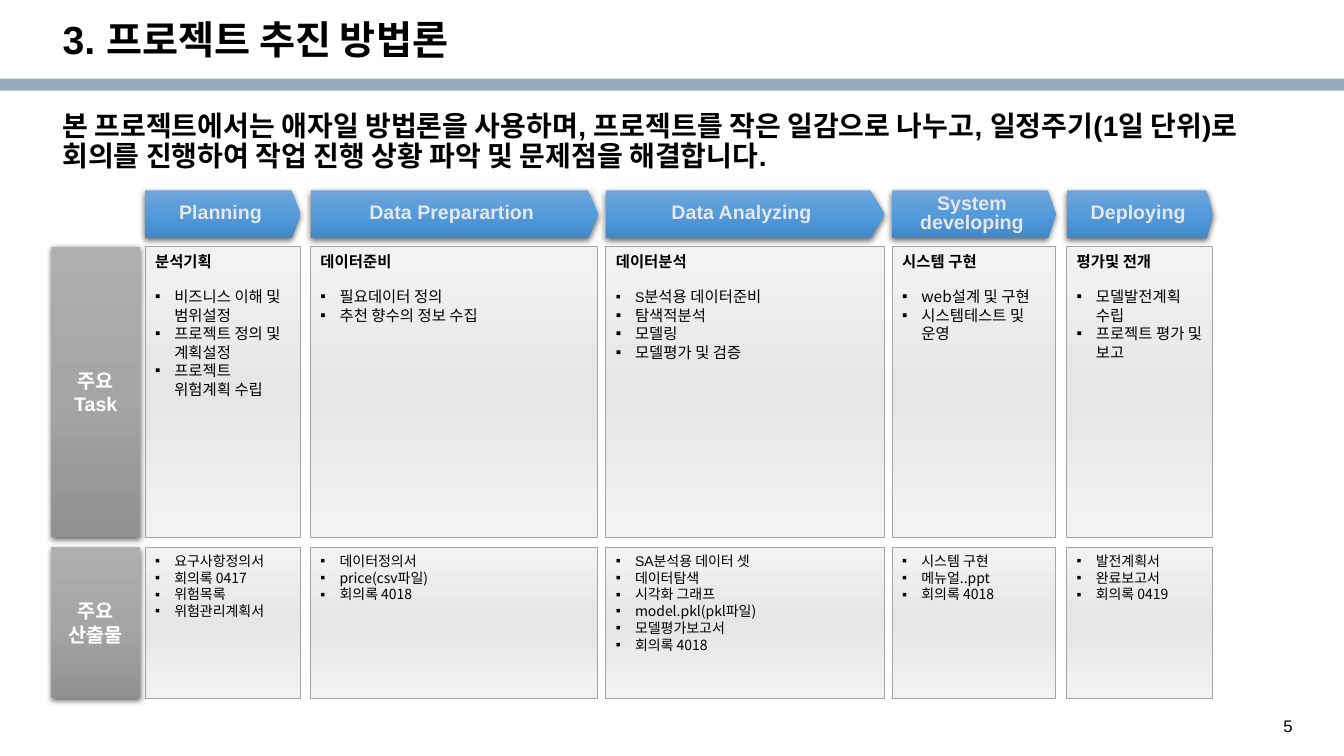
"""Builds the project methodology slide: five phases with their tasks and deliverables."""
import pptx
import pptx.dml.color
import pptx.enum.shapes
import pptx.enum.text
import pptx.oxml
import pptx.oxml.ns
import pptx.util
from pptx.util import Inches, Pt

TITLE = "3. 프로젝트 추진 방법론"
SUMMARY = (
    "본 프로젝트에서는 애자일 방법론을 사용하며, 프로젝트를 작은 일감으로 나누고, "
    "일정주기(1일 단위)로 회의를 진행하여 작업 진행 상황 파악 및 문제점을 해결합니다."
)
PAGE_NUMBER = "5"
PHASES = [
    {"name": "Planning", "heading": "분석기획", "left": 1.44, "width": 1.54, "point": 0.19,
     "tasks": ["비즈니스 이해 및 범위설정", "프로젝트 정의 및 계획설정", "프로젝트 위험계획 수립"],
     "outputs": ["요구사항정의서", "회의록 0417", "위험목록", "위험관리계획서"]},
    {"name": "Data Preparartion", "heading": "데이터준비", "left": 3.08, "width": 2.85, "point": 0.207,
     "tasks": ["필요데이터 정의", "추천 향수의 정보 수집"],
     "outputs": ["데이터정의서", "price(csv파일)", "회의록 4018"]},
    {"name": "Data Analyzing", "heading": "데이터분석", "left": 6.01, "width": 2.76, "point": 0.29,
     "tasks": [("S", "분석용 데이터준비"), "탐색적분석", "모델링", "모델평가 및 검증"],
     "outputs": [("SA", "분석용 데이터 셋"), "데이터탐색", "시각화 그래프", "model.pkl(pkl파일)",
                 "모델평가보고서", "회의록 4018"]},
    {"name": "System developing", "heading": "시스템 구현", "left": 8.85, "width": 1.62, "point": 0.166,
     "tasks": ["web설계 및 구현", "시스템테스트 및 운영"],
     "outputs": ["시스템 구현", "메뉴얼..ppt", "회의록 4018"]},
    {"name": "Deploying", "heading": "평가및 전개", "left": 10.58, "width": 1.45, "point": 0.137,
     "tasks": ["모델발전계획 수립", "프로젝트 평가 및 보고"],
     "outputs": ["발전계획서", "완료보고서", "회의록 0419"]},
]
TASK_ROW = (2.45, 2.88)
OUTPUT_ROW = (5.43, 1.5)
ROW_LABELS = [(["주요 Task"], TASK_ROW), (["주요", "산출물"], OUTPUT_ROW)]
ARROW_TOP, ARROW_HEIGHT = 1.89, 0.47
LATIN, KOREAN = "Arial", "Noto Sans CJK KR"
BLUE = ("70A5DA", "539BDB", "4288C8")
GREY = ("AFAFAF", "A5A5A5", "919191")
PALE = ("F2F2F2", "E6E6E6", "F2F2F2")
SHAPES = pptx.enum.shapes.MSO_SHAPE
ALIGN = pptx.enum.text.PP_ALIGN
ANCHOR = pptx.enum.text.MSO_ANCHOR
NS = pptx.oxml.ns.nsdecls("a")


def rgb(value):
    return pptx.dml.color.RGBColor.from_string(value)


def set_font(font, size, name=LATIN, color="000000", bold=False):
    font.size, font.name, font.bold = Pt(size), name, bold
    font.color.rgb = rgb(color)


def write(paragraph, text, size, name=LATIN, color="000000", bold=False, align=ALIGN.LEFT, spacing=None):
    paragraph.text = text
    paragraph.alignment = align
    paragraph.line_spacing = spacing
    set_font(paragraph.font, size, name, color, bold)


def paragraphs(frame, count):
    return [frame.paragraphs[0]] + [frame.add_paragraph() for _ in range(count - 1)]


def add_box(slide, kind, box, colors, raised=False):
    shape = slide.shapes.add_shape(kind, *map(Inches, box))
    shape.shadow.inherit = False
    shape.line.fill.background()
    shape.fill.gradient()
    shape.fill.gradient_angle = 270
    stops = shape.element.spPr.find(".//" + pptx.oxml.ns.qn("a:gsLst"))
    for stop in list(stops):
        stops.remove(stop)
    for index, color in enumerate(colors):
        stops.append(pptx.oxml.parse_xml(
            f'<a:gs {NS} pos="{index * 50000}"><a:srgbClr val="{color}"/></a:gs>'))
    if raised:
        effects = shape.element.spPr.find(pptx.oxml.ns.qn("a:effectLst"))
        effects.append(pptx.oxml.parse_xml(
            f'<a:outerShdw {NS} blurRad="{Pt(4.5)}" dist="{Pt(1.5)}" dir="5400000" algn="ctr" rotWithShape="0">'
            '<a:srgbClr val="000000"><a:alpha val="62000"/></a:srgbClr></a:outerShdw>'))
    shape.text_frame.word_wrap = True
    return shape


def write_bullet(paragraph, item, size):
    if isinstance(item, tuple):
        paragraph.alignment = ALIGN.LEFT
        for text, run_size, name in zip(item, (10, size), (LATIN, KOREAN)):
            run = paragraph.add_run()
            run.text = text
            set_font(run.font, run_size, name)
    else:
        write(paragraph, item, size, KOREAN)
    properties = paragraph._p.get_or_add_pPr()
    properties.set("marL", str(Inches(0.19)))
    properties.set("indent", str(-Inches(0.19)))
    bullet = (f'<a:buClr {NS}><a:srgbClr val="000000"/></a:buClr>',
              f'<a:buFont {NS} typeface="{LATIN}"/>', f'<a:buChar {NS} char="▪"/>')
    defaults = properties.find(pptx.oxml.ns.qn("a:defRPr"))
    for part in map(pptx.oxml.parse_xml, bullet):
        if defaults is None:
            properties.append(part)
        else:
            defaults.addprevious(part)


def add_panel(slide, phase, row, items, size, heading=None):
    top, height = row
    panel = add_box(slide, SHAPES.RECTANGLE, (phase["left"], top, phase["width"], height), PALE)
    panel.line.color.rgb = rgb("A5A5A5")
    panel.line.width = Pt(0.75)
    frame = panel.text_frame
    frame.vertical_anchor = ANCHOR.TOP
    lines = paragraphs(frame, len(items) + bool(heading))
    if heading:
        write(lines[0], heading, 11, KOREAN, bold=True)
        lines[0].space_after = Pt(12)
    for line, item in zip(lines[-len(items):], items):
        write_bullet(line, item, size)


def add_text(slide, box, text, size, **style):
    frame = slide.shapes.add_textbox(*map(Inches, box)).text_frame
    frame.word_wrap = True
    write(frame.paragraphs[0], text, size, **style)


def main():
    deck = pptx.Presentation()
    deck.slide_width, deck.slide_height = Inches(13.33), Inches(7.5)
    slide = deck.slides.add_slide(deck.slide_layouts[5])

    band = slide.shapes.add_shape(SHAPES.RECTANGLE, 0, Inches(0.78), Inches(13.33), Inches(0.12))
    band.shadow.inherit = False
    band.fill.solid()
    band.fill.fore_color.rgb = rgb("98A8BD")
    band.line.fill.background()

    title = slide.shapes.title
    title.left, title.top, title.width, title.height = map(Inches, (0.52, 0.15, 11.5, 0.53))
    title.text_frame.vertical_anchor = ANCHOR.MIDDLE
    write(title.text_frame.paragraphs[0], TITLE, 28, bold=True, spacing=0.9)
    add_text(slide, (0.52, 1.06, 12.01, 0.71), SUMMARY, 20, bold=True, spacing=0.9)
    add_text(slide, (12.63, 7.05, 0.52, 0.27), PAGE_NUMBER, 12)

    for phase in PHASES:
        add_panel(slide, phase, TASK_ROW, phase["tasks"], 11, phase["heading"])
        add_panel(slide, phase, OUTPUT_ROW, phase["outputs"], 10)
        arrow = add_box(slide, SHAPES.PENTAGON, (phase["left"], ARROW_TOP, phase["width"], ARROW_HEIGHT),
                        BLUE, raised=True)
        arrow.adjustments[0] = phase["point"]
        arrow.text_frame.vertical_anchor = ANCHOR.MIDDLE
        write(arrow.text_frame.paragraphs[0], phase["name"], 14, color="E7E6E6", bold=True,
              align=ALIGN.CENTER, spacing=0.8)

    for words, (top, height) in ROW_LABELS:
        label = add_box(slide, SHAPES.ROUNDED_RECTANGLE, (0.51, top, 0.88, height), GREY, raised=True)
        label.adjustments[0] = 0
        label.text_frame.vertical_anchor = ANCHOR.MIDDLE
        for line, word in zip(paragraphs(label.text_frame, len(words)), words):
            write(line, word, 14, color="FFFFFF", bold=True, align=ALIGN.CENTER)

    deck.save("out.pptx")


if __name__ == "__main__":
    main()
